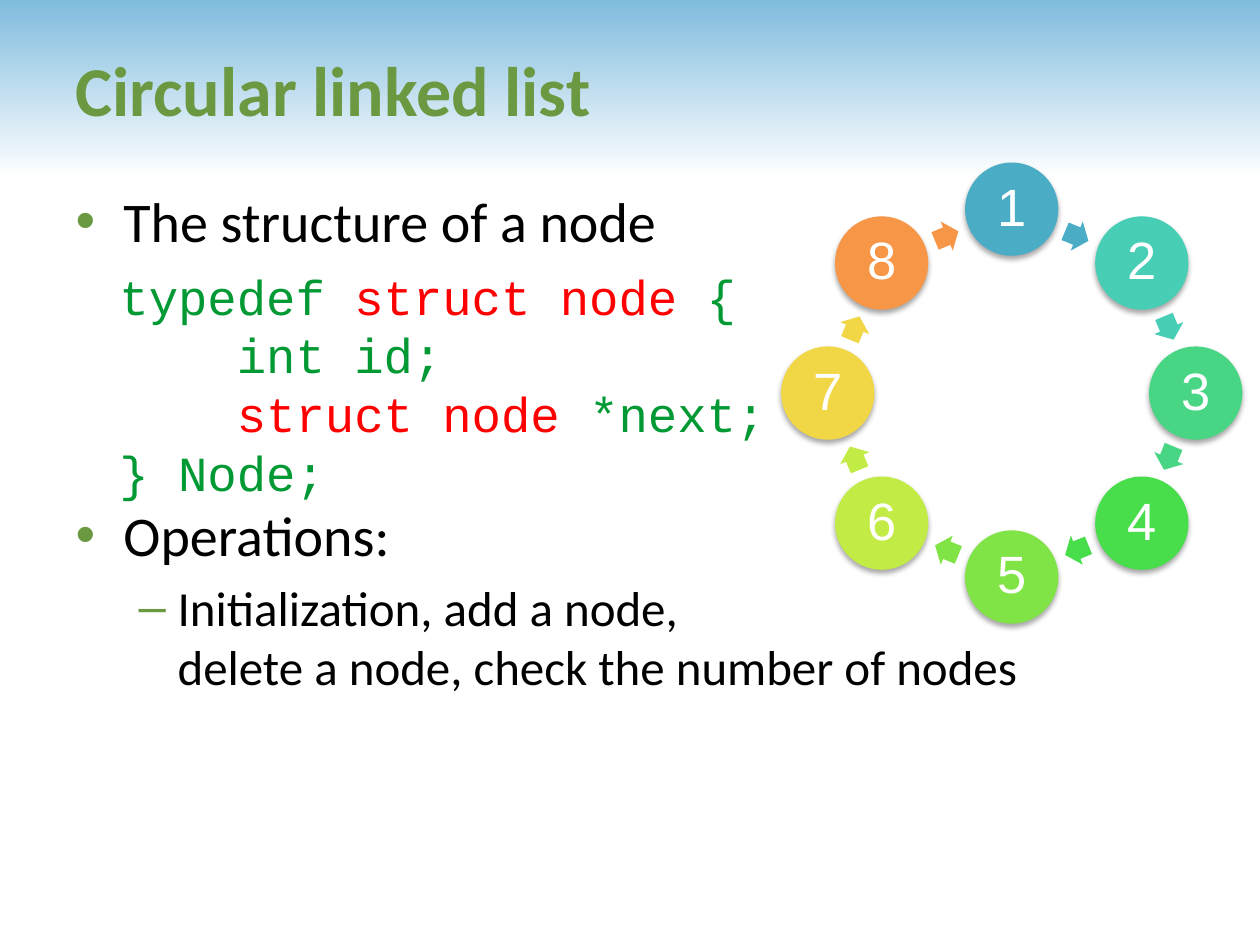
import math
from dataclasses import dataclass

from lxml import etree
from pptx import Presentation, util as u
from pptx.dml.color import RGBColor
from pptx.enum import shapes, text
from pptx.oxml import ns

BLACK = RGBColor(0, 0, 0)
WHITE = RGBColor(0xFF, 0xFF, 0xFF)
SKY = RGBColor(0x80, 0xBC, 0xDE)
OLIVE = RGBColor(0x6B, 0x99, 0x41)
CODE_GREEN = RGBColor(0x00, 0x99, 0x33)
CODE_RED = RGBColor(0xFF, 0x00, 0x00)
NODE_COLOURS = [RGBColor.from_string(code) for code in (
    "4BACC6", "49CEB6", "48D684", "47DD4B", "80E446", "C3EB46", "F1D746", "F79646")]

RING_X, RING_Y, RING_RADIUS = 8.03, 3.12, 1.46
NODE_SIZE = 0.74
ARROW_WIDTH, ARROW_HEIGHT = 0.2, 0.25


@dataclass
class Bullet:
    words: str
    level: int
    mark: str
    size: int
    margin: float
    hanging: float
    before: float


BULLETS = [
    Bullet("The structure of a node", 0, "•", 32, 0.38, 0.38, 0),
    # The wide gap leaves room for the code
    Bullet("Operations:", 0, "•", 32, 0.38, 0.38, 141),
    Bullet("Initialization, add a node,\vdelete a node, check the number of nodes",
           1, "–", 28, 0.81, 0.31, 5.6),
]

CODE = [
    [("typedef ", CODE_GREEN), ("struct node ", CODE_RED), ("{", CODE_GREEN)],
    [("    int id;", CODE_GREEN)],
    [("    ", CODE_GREEN), ("struct node ", CODE_RED), ("*next;", CODE_GREEN)],
    [("} Node;", CODE_GREEN)],
]


def place(shape, left: float, top: float, width: float, height: float) -> None:
    shape.left, shape.top = u.Inches(left), u.Inches(top)
    shape.width, shape.height = u.Inches(width), u.Inches(height)


def style(font, name: str, size: float, colour: RGBColor) -> None:
    font.name, font.size = name, u.Pt(size)
    font.color.rgb = colour


def add_band(slide) -> None:
    band = slide.shapes.add_shape(shapes.MSO_SHAPE.PENTAGON, 0, 0, u.Inches(10), u.Inches(1.42))
    band.adjustments[0] = 0
    band._element.spPr.find(ns.qn("a:xfrm")).set("flipH", "1")
    band.shadow.inherit = False
    band.line.fill.background()
    band.fill.gradient()
    band.fill.gradient_angle = 270
    for stop, position, colour in zip(band.fill.gradient_stops, (0, 1), (SKY, WHITE)):
        stop.position = position
        stop.color.rgb = colour
    slide.shapes._spTree.insert(2, band._element)  # behind the title


def add_title(slide) -> None:
    title = slide.shapes.title
    place(title, 0.5, 0.08, 9.08, 1.25)
    frame = title.text_frame
    frame.text = "Circular linked list"
    frame.vertical_anchor = text.MSO_ANCHOR.MIDDLE
    para = frame.paragraphs[0]
    para.alignment = text.PP_ALIGN.LEFT
    style(para.runs[0].font, "Calibri", 40, OLIVE)
    para.runs[0].font.bold = True


def set_bullet(para, bullet: Bullet) -> None:
    props = para._p.get_or_add_pPr()
    props.set("marL", str(u.Inches(bullet.margin)))
    props.set("indent", str(-u.Inches(bullet.hanging)))
    colour = etree.SubElement(props, ns.qn("a:buClr"))
    etree.SubElement(colour, ns.qn("a:srgbClr"), val=str(OLIVE))
    etree.SubElement(props, ns.qn("a:buFont"), typeface="Arial")
    etree.SubElement(props, ns.qn("a:buChar"), char=bullet.mark)


def add_bullets(slide) -> None:
    body = slide.placeholders[1]
    place(body, 0.5, 1.43, 9.08, 4.5)
    frame = body.text_frame
    frame.auto_size = text.MSO_AUTO_SIZE.NONE
    for index, bullet in enumerate(BULLETS):
        para = frame.add_paragraph() if index else frame.paragraphs[0]
        para.text = bullet.words
        para.level = bullet.level
        set_bullet(para, bullet)
        para.space_before = u.Pt(bullet.before)
        for span in para.runs:
            style(span.font, "Calibri", bullet.size, BLACK)


def add_code(slide) -> None:
    box = slide.shapes.add_textbox(u.Inches(0.85), u.Inches(2.05), u.Inches(5.37), u.Inches(1.99))
    frame = box.text_frame
    frame.word_wrap = False
    frame.auto_size = text.MSO_AUTO_SIZE.SHAPE_TO_FIT_TEXT
    frame.vertical_anchor = text.MSO_ANCHOR.MIDDLE
    for index, line in enumerate(CODE):
        para = frame.add_paragraph() if index else frame.paragraphs[0]
        for words, colour in line:
            span = para.add_run()
            span.text = words
            style(span.font, "Courier New", 28, colour)


def add_ring_shape(ring, preset, angle: float, radius: float, width: float, height: float,
                   colour: RGBColor):
    """Centre a plain shape on the ring, with the angle in degrees clockwise from the top."""
    turn = math.radians(angle)
    left = RING_X + radius * math.sin(turn) - width / 2
    top = RING_Y - radius * math.cos(turn) - height / 2
    shape = ring.shapes.add_shape(
        preset, u.Inches(left), u.Inches(top), u.Inches(width), u.Inches(height))
    shape.shadow.inherit = False
    shape.fill.solid()
    shape.fill.fore_color.rgb = colour
    shape.line.fill.background()
    return shape


def add_soft_shadow(shape) -> None:
    effects = shape._element.spPr.find(ns.qn("a:effectLst"))
    shadow = etree.SubElement(effects, ns.qn("a:outerShdw"), blurRad=str(u.Pt(3.1)),
                              dist=str(u.Pt(1.8)), dir="5400000", rotWithShape="0")
    colour = etree.SubElement(shadow, ns.qn("a:srgbClr"), val=str(BLACK))
    etree.SubElement(colour, ns.qn("a:alpha"), val="35000")


def add_number(node, number: int) -> None:
    frame = node.text_frame
    frame.margin_left = frame.margin_right = u.Inches(0.04)
    frame.margin_top = frame.margin_bottom = u.Inches(0.04)
    frame.vertical_anchor = text.MSO_ANCHOR.MIDDLE
    frame.text = str(number)
    para = frame.paragraphs[0]
    para.alignment = text.PP_ALIGN.CENTER
    para.line_spacing = 0.9
    style(para.runs[0].font, "Arial", 30, WHITE)


def add_ring(slide) -> None:
    ring = slide.shapes.add_group_shape()
    step = 360 / len(NODE_COLOURS)
    arrow_radius = RING_RADIUS * math.cos(math.radians(step / 2))
    for index, colour in enumerate(NODE_COLOURS):
        angle = index * step
        node = add_ring_shape(ring, shapes.MSO_SHAPE.OVAL, angle, RING_RADIUS,
                              NODE_SIZE, NODE_SIZE, colour)
        add_soft_shadow(node)
        add_number(node, index + 1)
        arrow = add_ring_shape(ring, shapes.MSO_SHAPE.RIGHT_ARROW, angle + step / 2, arrow_radius,
                               ARROW_WIDTH, ARROW_HEIGHT, colour)
        arrow.adjustments[0], arrow.adjustments[1] = 0.6, 0.5
        arrow.rotation = angle + step / 2


def main() -> None:
    deck = Presentation()
    deck.slide_width, deck.slide_height = u.Inches(10), u.Inches(7.5)
    slide = deck.slides.add_slide(deck.slide_layouts[1])
    add_band(slide)
    add_title(slide)
    add_bullets(slide)
    add_ring(slide)
    add_code(slide)
    deck.save("out.pptx")


if __name__ == "__main__":
    main()
